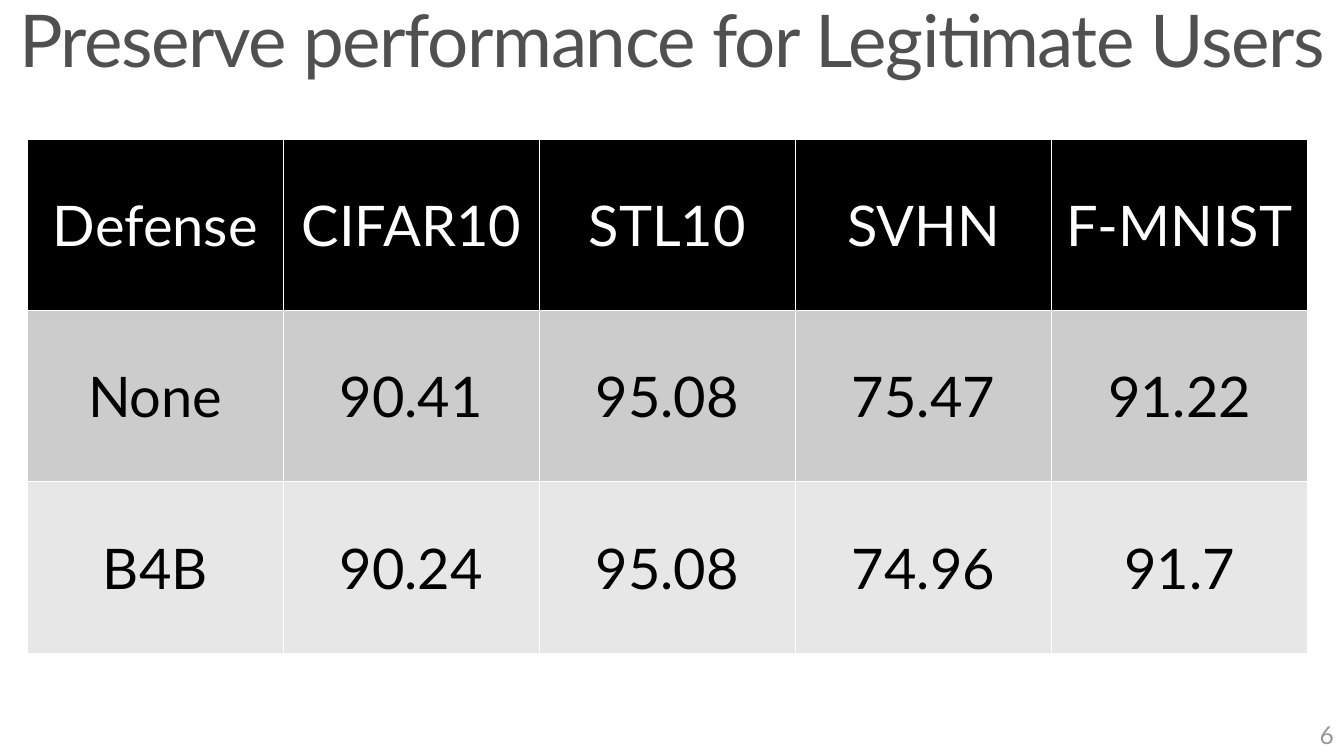
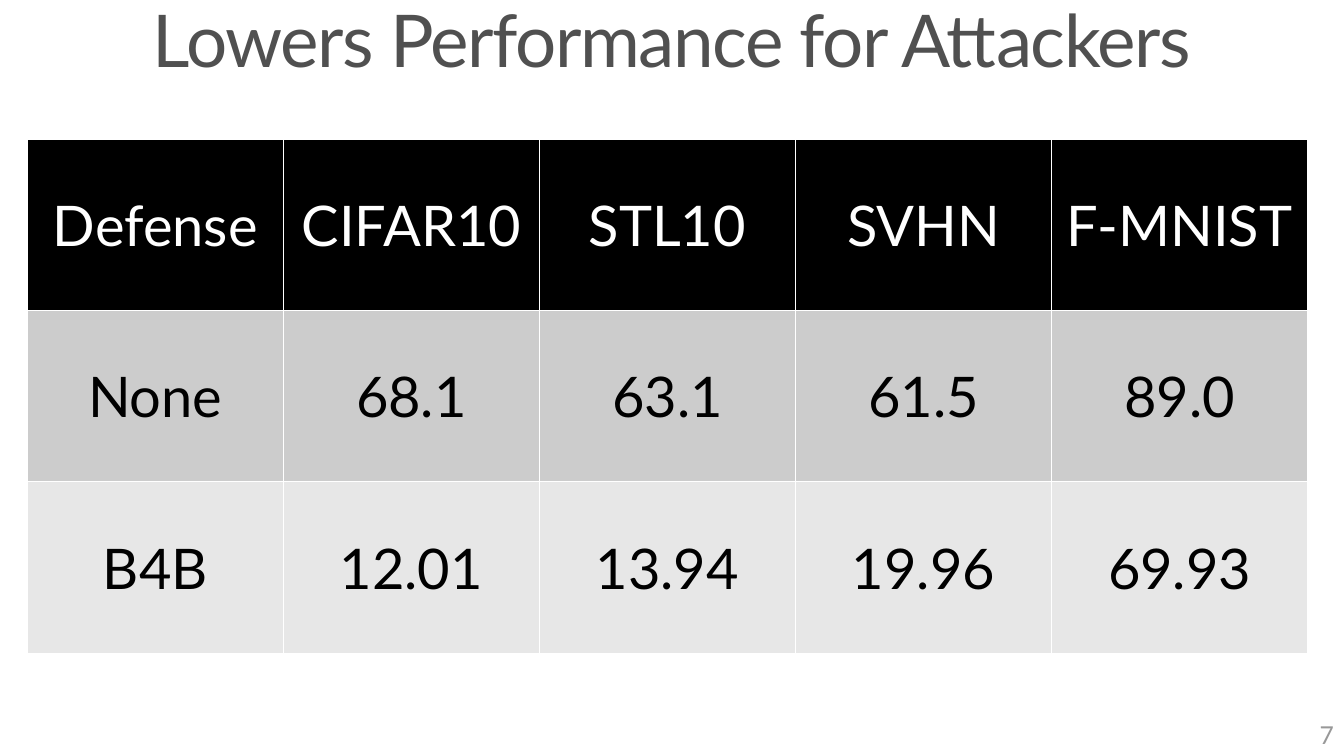
from dataclasses import dataclass
from typing import Any

from lxml import etree
from pptx import Presentation
from pptx.dml.color import RGBColor
from pptx.enum.text import MSO_ANCHOR, PP_ALIGN
from pptx.oxml.ns import qn
from pptx.util import Inches, Pt

CENTER, RIGHT = PP_ALIGN.CENTER, PP_ALIGN.RIGHT
TOP, MIDDLE = MSO_ANCHOR.TOP, MSO_ANCHOR.MIDDLE
TITLE_ONLY = 5


@dataclass(frozen=True)
class Theme:
    font: str = "Lato"
    title: str = "505050"
    page_number: str = "989898"
    paper: str = "FFFFFF"
    ink: str = "000000"
    row_fills: tuple[str, ...] = ("000000", "CCCCCC", "E7E7E7")
    title_size: float = 52
    table_size: float = 40
    page_number_size: float = 17.6
    border_width: float = 1


@dataclass(frozen=True)
class ResultSlide:
    number: int
    title: str
    undefended: tuple[str, ...]
    defended: tuple[str, ...]


THEME = Theme()
WIDTH, HEIGHT = Inches(13.33), Inches(7.5)
COLUMN_WIDTH, ROW_HEIGHT = Inches(2.54), Inches(1.7)
HEADER = ("Defense", "CIFAR10", "STL10", "SVHN", "F-MNIST")
RESULTS = (
    ResultSlide(6, "Preserve performance for Legitimate Users",
                ("90.41", "95.08", "75.47", "91.22"),
                ("90.24", "95.08", "74.96", "91.7")),
    ResultSlide(7, "Lowers Performance for Attackers",
                ("68.1", "63.1", "61.5", "89.0"),
                ("12.01", "13.94", "19.96", "69.93")),
)


def write_text(frame: Any, text: str, *, size: float, color: str,
               align: Any = CENTER, line_spacing: float | None = None,
               tracking: float = 0) -> None:
    paragraph = frame.paragraphs[0]
    paragraph.alignment = align
    if line_spacing is not None:
        paragraph.line_spacing = line_spacing
    run = paragraph.add_run()
    run.text = text
    run.font.name = THEME.font
    run.font.size = Pt(size)
    run.font.color.rgb = RGBColor.from_string(color)
    if tracking:
        run.font._element.set("spc", str(int(tracking * 100)))


def add_title(slide: Any, text: str) -> None:
    title = slide.shapes.title
    title.left, title.top, title.width, title.height = 0, 0, WIDTH, Inches(0.96)
    frame = title.text_frame
    frame.word_wrap = True
    frame.vertical_anchor = TOP
    write_text(frame, text, size=THEME.title_size, color=THEME.title,
               line_spacing=0.9, tracking=-1)


def add_page_number(slide: Any, number: int) -> None:
    width, height = Inches(3), Inches(0.4)
    box = slide.shapes.add_textbox(WIDTH - width, Inches(7.09), width, height)
    frame = box.text_frame
    frame.word_wrap = True
    frame.vertical_anchor = MIDDLE
    write_text(frame, str(number), size=THEME.page_number_size,
               color=THEME.page_number, align=RIGHT)


def add_borders(cell: Any) -> None:
    properties = cell._tc.get_or_add_tcPr()
    for side in ("lnL", "lnR", "lnT", "lnB"):
        line = etree.SubElement(properties, qn(f"a:{side}"),
                                w=str(Pt(THEME.border_width)))
        fill = etree.SubElement(line, qn("a:solidFill"))
        etree.SubElement(fill, qn("a:srgbClr"), val=THEME.paper)


def add_results_table(slide: Any, rows: tuple[tuple[str, ...], ...]) -> None:
    table = slide.shapes.add_table(
        len(rows), len(HEADER), Inches(0.27), Inches(1.38),
        COLUMN_WIDTH * len(HEADER), ROW_HEIGHT * len(rows)).table
    for column in table.columns:
        column.width = COLUMN_WIDTH
    for row_index, (values, row_fill) in enumerate(zip(rows, THEME.row_fills)):
        table.rows[row_index].height = ROW_HEIGHT
        text_color = THEME.ink if row_index else THEME.paper
        for column_index, value in enumerate(values):
            cell = table.cell(row_index, column_index)
            cell.vertical_anchor = MIDDLE
            add_borders(cell)
            cell.fill.solid()
            cell.fill.fore_color.rgb = RGBColor.from_string(row_fill)
            write_text(cell.text_frame, value, size=THEME.table_size,
                       color=text_color)


def build_slide(deck: Any, result: ResultSlide) -> None:
    slide = deck.slides.add_slide(deck.slide_layouts[TITLE_ONLY])
    add_page_number(slide, result.number)
    add_title(slide, result.title)
    add_results_table(slide, (HEADER, ("None", *result.undefended),
                              ("B4B", *result.defended)))


def main() -> None:
    deck = Presentation()
    deck.slide_width, deck.slide_height = WIDTH, HEIGHT
    for result in RESULTS:
        build_slide(deck, result)
    deck.save("out.pptx")


if __name__ == "__main__":
    main()
